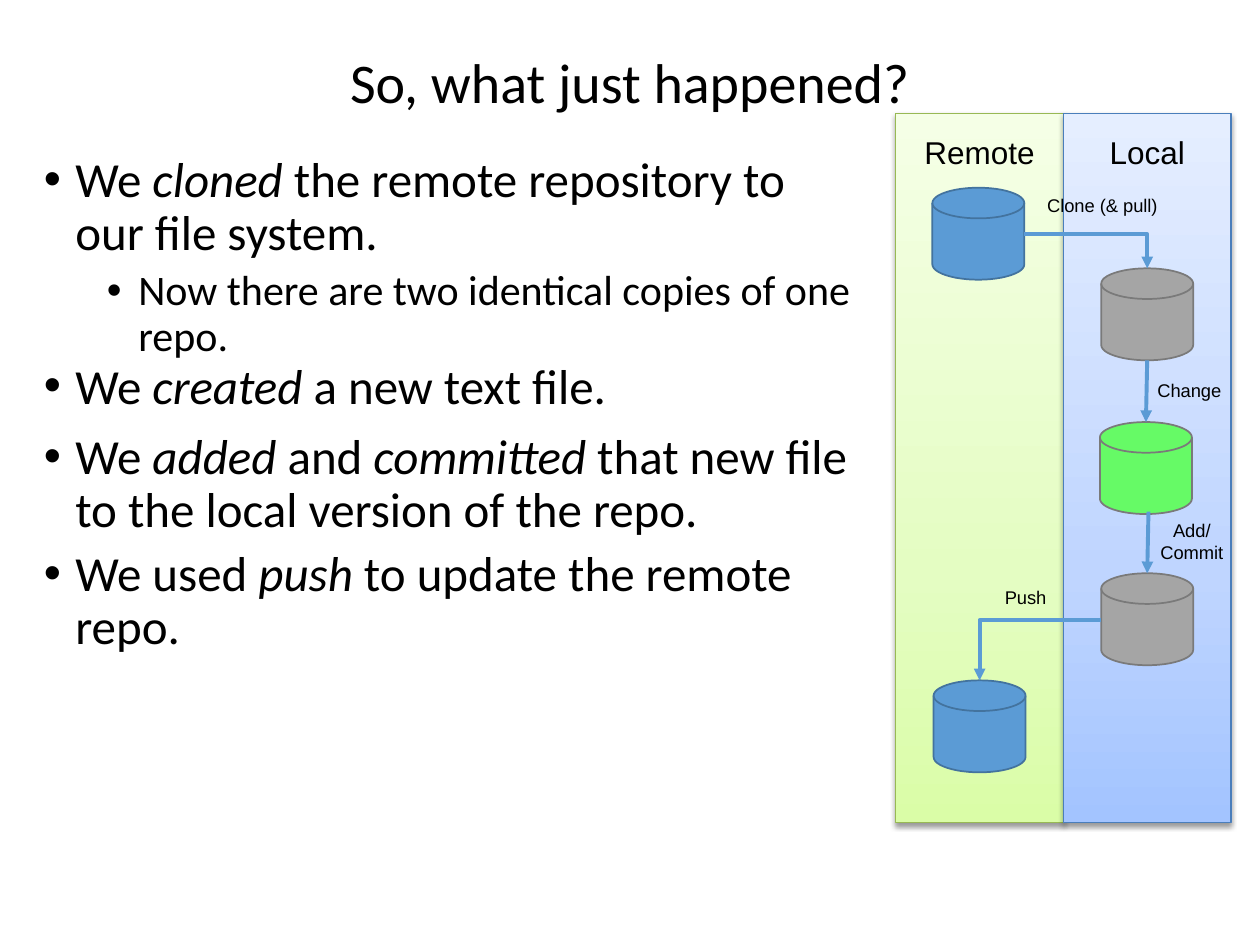
"""Build a slide that explains clone, commit and push between two repositories."""
from copy import deepcopy

from lxml.etree import SubElement
from pptx import Presentation
from pptx.dml.color import RGBColor
from pptx.enum.shapes import MSO_CONNECTOR, MSO_SHAPE
from pptx.enum.text import MSO_ANCHOR, PP_ALIGN
from pptx.oxml.ns import qn
from pptx.util import Inches, Pt

BLACK = RGBColor(0x00, 0x00, 0x00)
BLUE = RGBColor(0x5B, 0x9B, 0xD5)
NAVY = RGBColor(0x43, 0x73, 0x9E)
GREY = RGBColor(0xA5, 0xA5, 0xA5)
SLATE = RGBColor(0x7A, 0x7A, 0x7A)
GREEN = RGBColor(0x66, 0xFA, 0x66)
LIMES = [RGBColor(0xDA, 0xFD, 0xA7), RGBColor(0xE4, 0xFD, 0xC2), RGBColor(0xF5, 0xFF, 0xE6)]
SKIES = [RGBColor(0xA3, 0xC4, 0xFF), RGBColor(0xBF, 0xD5, 0xFF), RGBColor(0xE5, 0xEE, 0xFF)]
OLIVE = RGBColor(0x98, 0xB9, 0x54)
COBALT = RGBColor(0x4A, 0x7E, 0xBB)

deck = Presentation()
deck.slide_width, deck.slide_height = Inches(10), Inches(7.5)
CELL = deck.slide_width // 100
slide = deck.slides.add_slide(deck.slide_layouts[6])
shapes = slide.shapes


def grid(*cells):
    return [round(cell * CELL) for cell in cells]


def write(text, area, size=10.5, font="Arial", align=PP_ALIGN.CENTER,
          anchor=MSO_ANCHOR.TOP, space=1.0, bullet=False):
    frame = shapes.add_textbox(*grid(*area)).text_frame
    frame.word_wrap = True
    frame.vertical_anchor = anchor
    for row, line in enumerate(text.split("\n")):
        para = frame.paragraphs[0] if row == 0 else frame.add_paragraph()
        level = len(line) - len(line.lstrip(">"))
        if bullet:
            props = para._p.get_or_add_pPr()
            props.set("marL", str(Inches(0.25 + 0.5 * level)))
            props.set("indent", str(Inches(-0.25)))
            SubElement(props, qn("a:buFont"), typeface="Arial")
            SubElement(props, qn("a:buChar"), char="•")
        para.alignment = align
        para.line_spacing = space
        para.level = level
        if row and bullet:
            para.space_before = Pt(5)
        for part, words in enumerate(line.lstrip(">").split("*")):
            run = para.add_run()
            run.text = words
            run.font.name = font
            run.font.size = Pt(size - 4 * level)
            run.font.italic = part % 2 == 1
            run.font.color.rgb = BLACK


write("So, what just happened?", (5, 0.5, 90, 12.5), size=32, font="Calibri",
      anchor=MSO_ANCHOR.MIDDLE, space=0.9)

for text, top, height, space in [
    ("We *cloned* the remote repository to our file system.\n"
     ">Now there are two identical copies of one repo.", 11.8, 17.7, 0.9),
    ("We *created* a new text file.", 28.6, 5.2, 0.8),
    ("We *added* and *committed* that new file to the local version of the repo.",
     33.8, 11.4, 0.9),
    ("We used *push* to update the remote repo.", 43.1, 14.2, 0.9),
]:
    write(text, (2.5, top, 66.6, height), size=28, font="Calibri",
          align=PP_ALIGN.LEFT, space=space, bullet=True)

WIDTH = 13.3
for col, (name, shades, edge) in enumerate([("Remote", LIMES, OLIVE), ("Local", SKIES, COBALT)]):
    left = 71.1 + col * WIDTH
    panel = shapes.add_shape(MSO_SHAPE.RECTANGLE, *grid(left, 9, WIDTH, 56.3))
    panel.fill.gradient()
    panel.fill.gradient_angle = 90
    stops = panel._element.spPr.find(".//" + qn("a:gsLst"))
    stops.insert(1, deepcopy(stops[0]))
    for stop, place, shade in zip(panel.fill.gradient_stops, (0, 0.35, 1), shades):
        stop.position = place
        stop.color.rgb = shade
    panel.line.color.rgb = edge
    panel.line.width = Pt(0.75)
    panel.shadow.inherit = False
    effects = panel._element.spPr.find(qn("a:effectLst"))
    shadow = SubElement(effects, qn("a:outerShdw"), blurRad=str(Pt(3.1)),
                        dist=str(Pt(1.6)), dir="5400000", rotWithShape="0")
    tint = SubElement(shadow, qn("a:srgbClr"), val="000000")
    SubElement(tint, qn("a:alpha"), val="38000")
    write(name, (left, 10.1, WIDTH, 4), size=18)

DISK = 7.3
for left, top, fill, edge in [
    (74, 14.9, BLUE, NAVY),
    (87.4, 21.3, GREY, SLATE),
    (87.3, 33.5, GREEN, SLATE),
    (87.4, 45.5, GREY, SLATE),
    (74.1, 54, BLUE, NAVY),
]:
    disk = shapes.add_shape(MSO_SHAPE.FLOWCHART_MAGNETIC_DISK, *grid(left, top, DISK, DISK))
    disk.fill.solid()
    disk.fill.fore_color.rgb = fill
    disk.line.color.rgb = edge
    disk.line.width = Pt(1)
    disk.shadow.inherit = False

for kind, ends in [
    (MSO_CONNECTOR.ELBOW, (81.3, 18.6, 91.05, 21.3)),
    (MSO_CONNECTOR.STRAIGHT, (91.05, 28.6, 90.95, 33.5)),
    (MSO_CONNECTOR.STRAIGHT, (91.15, 40.6, 91.05, 45.5)),
    (MSO_CONNECTOR.ELBOW, (87.4, 49.2, 77.75, 54)),
]:
    link = shapes.add_connector(kind, *grid(*ends))
    link.line.color.rgb = BLUE
    link.line.width = Pt(2.25)
    props = link._element.spPr
    SubElement(props.find(qn("a:ln")), qn("a:tailEnd"), type="triangle")
    SubElement(props, qn("a:effectLst"))
    if kind == MSO_CONNECTOR.ELBOW:
        props.find(qn("a:prstGeom")).set("prst", "bentConnector2")

for text, left, top, height in [
    ("Clone (& pull)", 79, 14.9, 2.9),
    ("Change", 85.9, 29.6, 2.9),
    ("Add/\nCommit", 86.1, 40.7, 4.5),
    ("Push", 72.9, 46, 2.8),
]:
    write(text, (left, top, 17, height))

deck.save("out.pptx")
